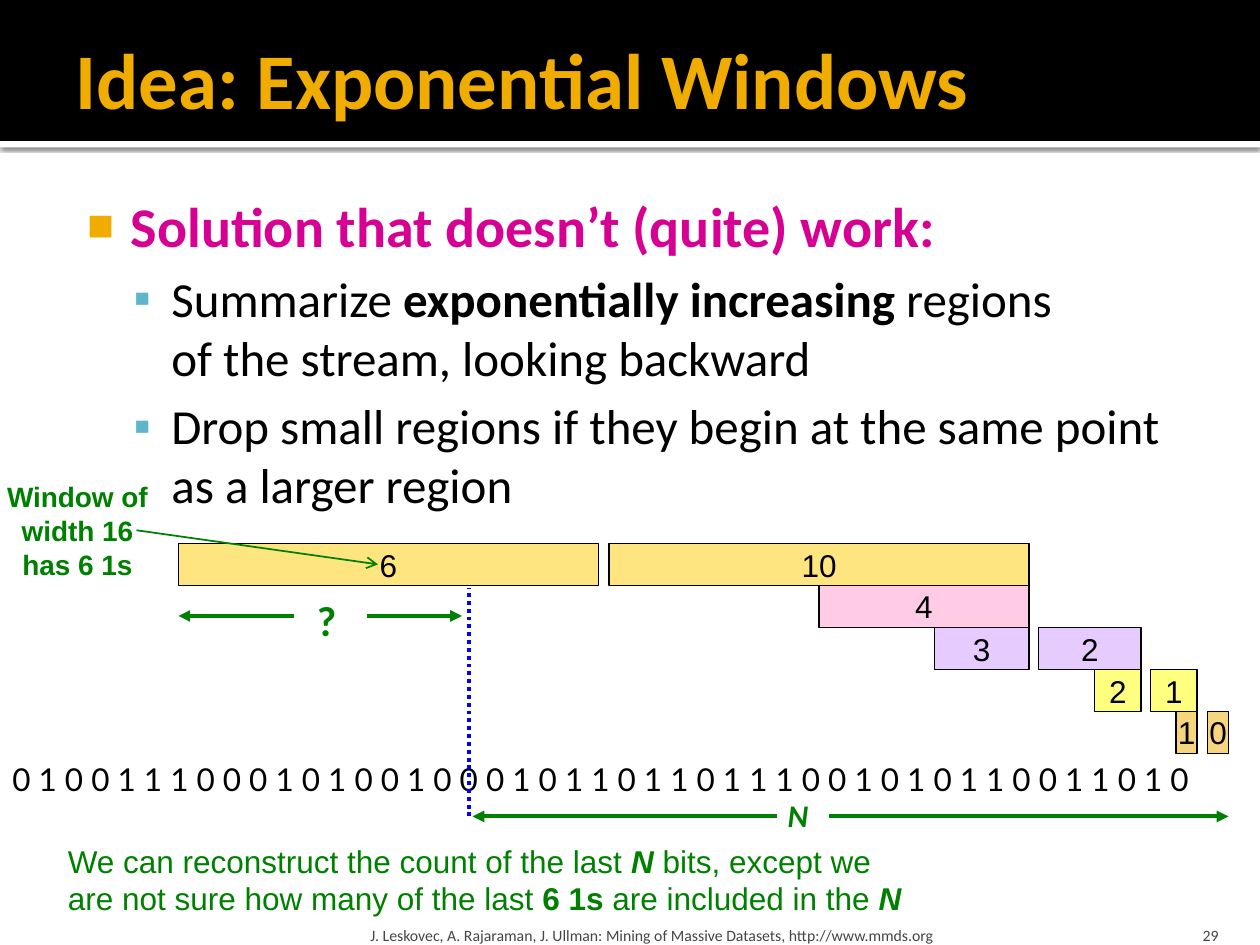
"""Build the slide on exponential windows over a bit stream."""
from lxml import etree
from pptx import Presentation
from pptx.dml.color import RGBColor
from pptx.enum import dml, shapes, text
from pptx.oxml import ns
from pptx.util import Pt

COLORS = {
    "black": "000000", "white": "FFFFFF", "gold": "F0AD00", "magenta": "D60093",
    "teal": "60B5CC", "green": "008000", "blue": "0000FF", "gray": "454545",
    "amber": "FFCC00", "pink": "FF99CC", "violet": "CC99FF", "yellow": "FFFF00",
}
TITLE = "Idea: Exponential Windows"
# level, size, color, spans of (text, style); style letters: b bold, i italic
BULLETS = [
    (0, 32, "magenta", [("Solution that doesn’t (quite) work:", "b")]),
    (1, 28, "black", [("Summarize ", ""), ("exponentially increasing ", "b"), ("regions ", ""),
                      ("\n", ""), ("of the stream, looking backward", "")]),
    (1, 28, "black", [("Drop small regions if they begin at the same point as a larger region", "")]),
]
# character, color, size in percent, left margin, indent
MARKERS = [("■", "gold", 80, 34.5, -25), ("▪", "teal", 100, 57.6, -21.6)]
BITS = "010011100010100100010110110111001010110011010"
SUMMARY = [
    ("We can reconstruct the count of the last ", ""), ("N ", "bi"),
    ("bits, except we are not sure how many of the last ", ""), ("6 1s", "b"),
    (" are included in the ", ""), ("N", "bi"),
]
FOOTER = "J. Leskovec, A. Rajaraman, J. Ullman: Mining of Massive Datasets, http://www.mmds.org"
# left, top, width, height, spans, size, font, color, wrap
LABELS = [
    (0, 430.5, 706, 29, [(" ".join(BITS), "")], 18, "Lato", "black", False),
    (443, 451.5, 27, 29, [("N", "bi")], 18, "Calibri", "green", False),
    (174, 336, 25, 36, [("?", "b")], 24, "Calibri", "green", False),
    (31.7, 477.4, 502, 51, SUMMARY, 18, "Arial", "green", True),
]
# color and (label, left, right) for each row of windows
ROWS = [
    ("amber", [("6", 102, 342), ("10", 348, 588)]),
    ("pink", [("4", 468, 588)]),
    ("violet", [("3", 534, 588), ("2", 593.5, 652)]),
    ("yellow", [("2", 625.5, 652), ("1", 657.5, 684)]),
    ("gold", [("1", 672, 684), ("0", 690, 702)]),
]
ROWS_TOP, ROW_HEIGHT = 310.5, 24
# start, end, color, width, arrowhead
LINES = [
    ((444, 466.5), (270, 466.5), "green", 2.25, "triangle"),
    ((474, 466.5), (702, 466.5), "green", 2.25, "triangle"),
    ((168, 352), (102, 352), "green", 2.25, "triangle"),
    ((210, 352), (264, 352), "green", 2.25, "triangle"),
    ((78, 303), (216, 322.5), "green", 1, "arrow"),
    ((268, 466.5), (268, 336), "blue", 2.25, None),
]


def rgb(name):
    return RGBColor.from_string(COLORS[name])


def add_xml(parent, tag, **attributes):
    return etree.SubElement(parent, ns.qn(tag), attributes)


def place(shape, left, top, width, height):
    shape.left, shape.top, shape.width, shape.height = map(Pt, (left, top, width, height))


def set_insets(frame, left, top, right, bottom):
    frame.margin_left, frame.margin_top = Pt(left), Pt(top)
    frame.margin_right, frame.margin_bottom = Pt(right), Pt(bottom)


def write(para, spans, size, font, color):
    for words, style in spans:
        if words == "\n":
            para.add_line_break()
            continue
        span = para.add_run()
        span.text = words
        span.font.size, span.font.name = Pt(size), font
        span.font.bold, span.font.italic = "b" in style, "i" in style
        span.font.color.rgb = rgb(color)


def add_label(page, left, top, width, height, spans, size, font, color, wrap=True):
    box = page.shapes.add_textbox(Pt(left), Pt(top), Pt(width), Pt(height))
    box.text_frame.word_wrap = wrap
    write(box.text_frame.paragraphs[0], spans, size, font, color)
    return box.text_frame


def add_box(page, left, top, width, height, color):
    box = page.shapes.add_shape(shapes.MSO_SHAPE.RECTANGLE, Pt(left), Pt(top), Pt(width), Pt(height))
    box.shadow.inherit = False
    box.fill.solid()
    box.fill.fore_color.rgb = rgb(color)
    box.line.fill.background()
    return box


def add_header(page):
    title = page.shapes.title
    rule = add_box(page, 0, 80.6, 720, 3.6, "white")
    effects = rule.element.spPr.find(ns.qn("a:effectLst"))
    shadow = add_xml(effects, "a:outerShdw", blurRad=str(Pt(2.5)), dist=str(Pt(0.8)), dir="5400000")
    add_xml(add_xml(shadow, "a:srgbClr", val=COLORS["black"]), "a:alpha", val="60000")
    for band in (rule, add_box(page, 0, 0, 720, 80.6, "black")):
        title.element.addprevious(band.element)
    place(title, 36, 5.8, 648, 77.8)
    frame = title.text_frame
    set_insets(frame, 7.2, 3.6, 3.6, 3.6)
    frame.auto_size = text.MSO_AUTO_SIZE.NONE
    frame.vertical_anchor = text.MSO_ANCHOR.MIDDLE
    frame.paragraphs[0].alignment = text.PP_ALIGN.LEFT
    write(frame.paragraphs[0], [(TITLE, "b")], 45, "Calibri", "gold")


def add_bullets(body):
    place(body, 36, 102.2, 648, 414)
    frame = body.text_frame
    set_insets(frame, 4.3, 7.2, 7.2, 3.6)
    frame.auto_size = text.MSO_AUTO_SIZE.NONE
    for index, (level, size, color, spans) in enumerate(BULLETS):
        para = frame.add_paragraph() if index else frame.paragraphs[0]
        para.level = level
        write(para, spans, size, "Calibri", color)
        character, marker_color, percent, margin, indent = MARKERS[level]
        properties = para._p.get_or_add_pPr()
        properties.set("marL", str(Pt(margin)))
        properties.set("indent", str(Pt(indent)))
        add_xml(add_xml(properties, "a:buClr"), "a:srgbClr", val=COLORS[marker_color])
        add_xml(properties, "a:buSzPct", val=str(percent * 1000))
        add_xml(properties, "a:buFont", typeface="Arial")
        add_xml(properties, "a:buChar", char=character)


def add_windows(page):
    for row, (color, windows) in enumerate(ROWS):
        for label, left, right in windows:
            box = add_box(page, left, ROWS_TOP + row * ROW_HEIGHT, right - left, ROW_HEIGHT, color)
            fill_color = box.element.spPr.find(".//" + ns.qn("a:srgbClr"))
            add_xml(fill_color, "a:alpha", val="50000")
            box.line.color.rgb, box.line.width = rgb("black"), Pt(0.75)
            frame = box.text_frame
            frame.word_wrap = False
            frame.vertical_anchor = text.MSO_ANCHOR.MIDDLE
            frame.paragraphs[0].alignment = text.PP_ALIGN.CENTER
            write(frame.paragraphs[0], [(label, "")], 18, "Arial", "black")


def add_line(page, start, end, color, width, head):
    line = page.shapes.add_connector(shapes.MSO_CONNECTOR.STRAIGHT, *map(Pt, start + end))
    line.line.color.rgb, line.line.width = rgb(color), Pt(width)
    if head:
        add_xml(line.line._get_or_add_ln(), "a:tailEnd", type=head)
    else:
        line.line.dash_style = dml.MSO_LINE.ROUND_DOT
    add_xml(line.element.spPr, "a:effectLst")


def add_footer(page):
    source = add_label(page, 208, 518.4, 433.5, 21.6, [(FOOTER, "")], 9, "Calibri", "gray")
    set_insets(source, 3.6, 3.6, 3.6, 0)
    number = add_label(page, 645.8, 518.4, 57.6, 21.6, [("29", "")], 9, "Calibri", "gray")
    set_insets(number, 7.2, 3.6, 7.2, 0)
    number.paragraphs[0].alignment = text.PP_ALIGN.RIGHT
    for frame in (source, number):
        frame.vertical_anchor = text.MSO_ANCHOR.BOTTOM


def main():
    deck = Presentation()
    deck.slide_width, deck.slide_height = Pt(720), Pt(540)
    page = deck.slides.add_slide(deck.slide_layouts[1])
    add_header(page)
    add_bullets(page.placeholders[1])
    add_footer(page)
    for label in LABELS:
        add_label(page, *label)
    add_windows(page)
    note = add_label(page, -3.6, 270.7, 95.8, 65.5, [("Window of width 16 has 6 1s", "b")],
                     16, "Arial", "green")
    note.paragraphs[0].alignment = text.PP_ALIGN.CENTER
    for line in LINES:
        add_line(page, *line)
    deck.save("out.pptx")


if __name__ == "__main__":
    main()
